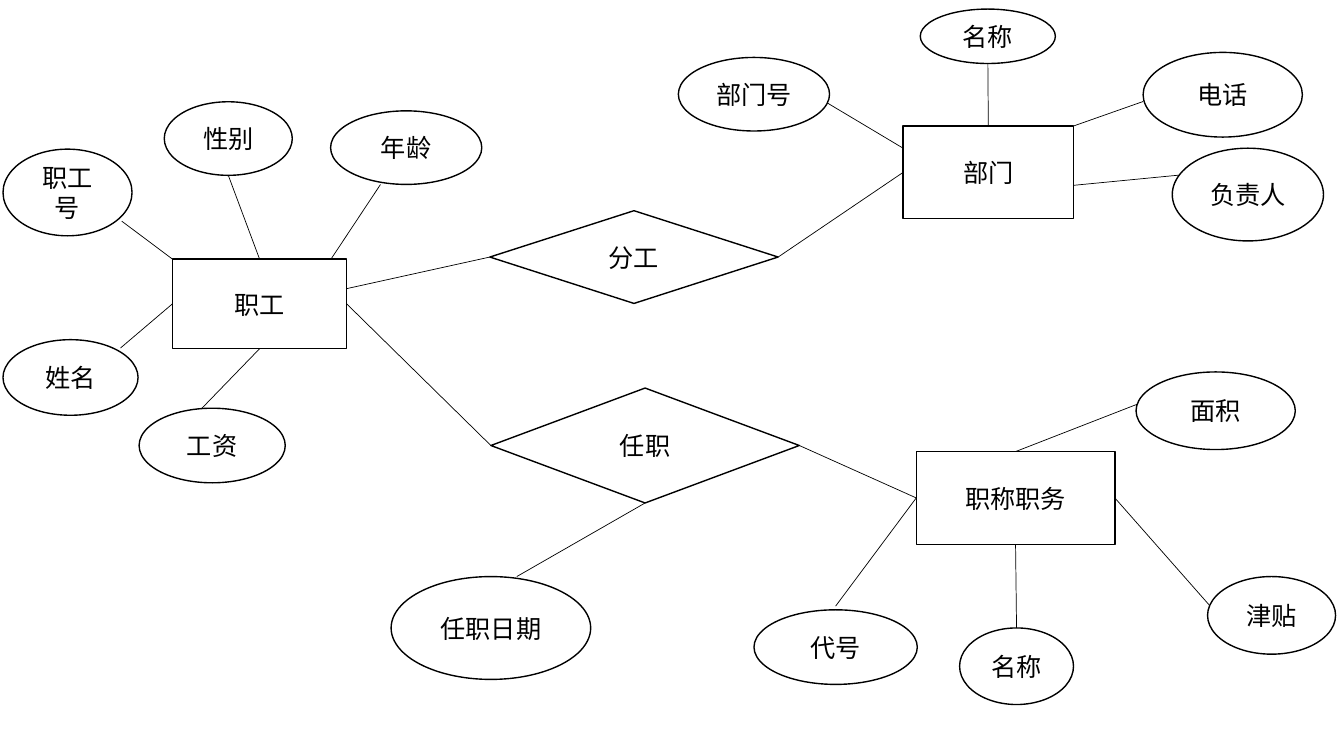
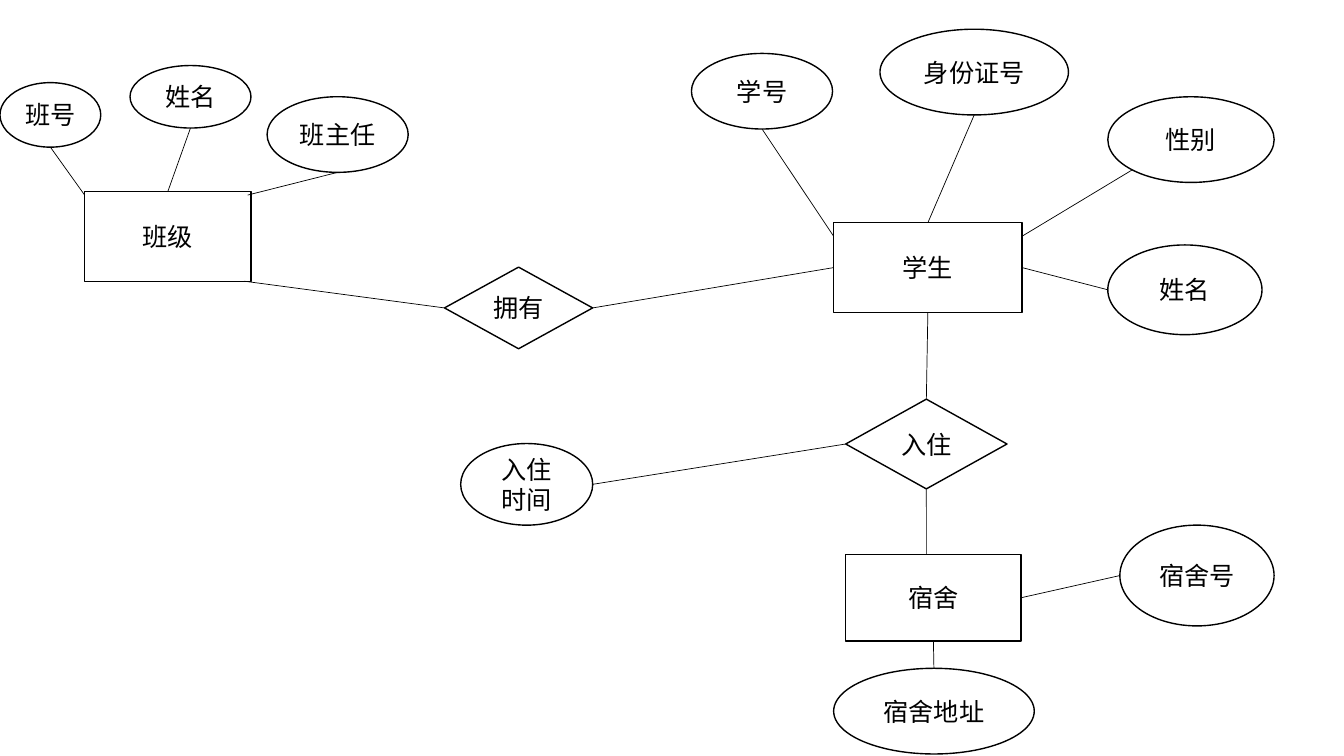
import pptx
import pptx.util
import pptx.dml.color
import pptx.enum.shapes
import pptx.enum.text
import pptx.oxml
import pptx.oxml.ns

BLACK = pptx.dml.color.RGBColor(0, 0, 0)
WHITE = pptx.dml.color.RGBColor(255, 255, 255)
FONT = "Noto Sans CJK SC"
KIND = pptx.enum.shapes.MSO_SHAPE
CELL = pptx.util.Inches(0.1)
COLS, ROWS = 133.33, 75
TOP, LEFT, BASE, RIGHT = (0.5, 0), (0, 0.5), (0.5, 1), (1, 0.5)


class Chart:
    def __init__(self, deck):
        self.slide = deck.slides.add_slide(deck.slide_layouts[6])

    def node(self, kind, text, *box):
        left, top, width, height = (round(n * CELL) for n in box)
        shape = self.slide.shapes.add_shape(kind, left, top, width, height)
        shape.shadow.inherit = False
        shape.fill.solid()
        shape.fill.fore_color.rgb = WHITE
        shape.line.color.rgb = BLACK
        shape.line.width = pptx.util.Pt(1)
        frame = shape.text_frame
        frame.word_wrap = True
        frame.vertical_anchor = pptx.enum.text.MSO_ANCHOR.MIDDLE
        frame.text = text
        para = frame.paragraphs[0]
        para.alignment = pptx.enum.text.PP_ALIGN.CENTER
        para.font.size = pptx.util.Pt(18)
        para.font.name = FONT
        para.font.color.rgb = BLACK
        props = para._p.pPr.find(pptx.oxml.ns.qn("a:defRPr"))
        east = pptx.oxml.ns.qn("a:ea")
        props.append(props.makeelement(east, {"typeface": FONT}))
        return box

    def entity(self, text, *box):
        return self.node(KIND.RECTANGLE, text, *box)

    def bond(self, text, *box):
        return self.node(KIND.FLOWCHART_DECISION, text, *box)

    def link(self, start, out, end, into):
        ends = []
        for (left, top, width, height), (x, y) in ((start, out), (end, into)):
            ends += [round((left + x * width) * CELL),
                     round((top + y * height) * CELL)]
        line = self.slide.shapes.add_connector(
            pptx.enum.shapes.MSO_CONNECTOR.STRAIGHT, *ends)
        line.line.color.rgb = BLACK
        line.line.width = pptx.util.Pt(0.5)
        props = line._element.spPr
        props.append(props.makeelement(pptx.oxml.ns.qn("a:effectLst"), {}))

    def traits(self, owner, rows):
        for text, box, out, into in rows:
            self.link(owner, out, box, into)
            self.node(KIND.OVAL, text, *box)


def draw_staff(deck):
    chart = Chart(deck)
    staff = chart.entity("职工", 17.1, 25.7, 17.3, 8.9)
    post = chart.entity("职称职务", 90.9, 44.8, 19.7, 9.2)
    unit = chart.entity("部门", 89.6, 12.5, 16.9, 9.2)
    task = chart.bond("分工", 48.6, 20.9, 28.6, 9.2)
    term = chart.bond("任职", 48.7, 38.5, 30.6, 11.4)

    chart.link(staff, (1, 0.33), task, LEFT)
    chart.link(task, RIGHT, unit, LEFT)
    chart.link(staff, RIGHT, term, LEFT)
    chart.link(term, RIGHT, post, LEFT)

    chart.traits(staff, [
        ("性别", (16.3, 10.1, 12.7, 7.3), TOP, BASE),
        ("年龄", (32.8, 11, 15, 7.3), (0.91, 0), (0.33, 1)),
        ("职工号", (0.3, 14.8, 12.8, 8.6), (0, 0), (0.92, 0.83)),
        ("姓名", (0.3, 33.7, 13.4, 7.5), LEFT, (0.87, 0.11)),
        ("工资", (13.8, 40.5, 14.5, 7.4), BASE, (0.43, 0)),
    ])
    chart.traits(unit, [
        ("部门号", (67.3, 5.7, 15, 7.3), (0, 0.24), (0.97, 0.6)),
        ("名称", (91.3, 0.9, 13.4, 5.4), TOP, BASE),
        ("电话", (113.4, 5.2, 15.8, 8.4), (1, 0), (0, 0.58)),
        ("负责人", (116.3, 14.7, 15, 9.2), (1, 0.64), (0.05, 0.29)),
    ])
    chart.traits(term, [
        ("任职日期", (38.8, 57.2, 19.8, 10.2), BASE, (0.63, 0)),
    ])
    chart.traits(post, [
        ("面积", (112.7, 36.9, 15.8, 7.7), TOP, (0.04, 0.39)),
        ("代号", (74.8, 60.5, 16.2, 7.4), LEFT, (0.5, -0.05)),
        ("名称", (95.2, 62.3, 11.3, 7.6), BASE, TOP),
        ("津贴", (119.8, 57.2, 12.7, 7.7), RIGHT, (0.02, 0.38)),
    ])


def draw_school(deck):
    chart = Chart(deck)
    group = chart.entity("班级", 8.4, 19, 16.5, 8.9)
    pupil = chart.entity("学生", 82.7, 22.1, 18.7, 8.9)
    dorm = chart.entity("宿舍", 83.9, 55, 17.4, 8.6)
    own = chart.bond("拥有", 44.1, 26.5, 14.7, 8.1)
    stay = chart.bond("入住", 83.9, 39.6, 16, 8.9)

    chart.link(group, (0.96, 1), own, LEFT)
    chart.link(own, RIGHT, pupil, LEFT)
    chart.link(pupil, BASE, stay, TOP)
    chart.link(stay, BASE, dorm, (0.46, 0))

    chart.traits(group, [
        ("班号", (0, 8.2, 10, 6.4), (0, 0.04), BASE),
        ("姓名", (12.9, 6.5, 12, 6.2), TOP, BASE),
        ("班主任", (26.5, 9.6, 14, 7.5), (0.98, 0.04), BASE),
    ])
    chart.traits(pupil, [
        ("学号", (68.6, 5.3, 14, 7.5), (0, 0.15), BASE),
        ("身份证号", (87.3, 2.9, 18.7, 8.5), TOP, BASE),
        ("性别", (109.9, 9.6, 16.5, 8.5), (1, 0.15), (0.15, 0.85)),
        ("姓名", (109.9, 24.3, 15.3, 8.9), RIGHT, LEFT),
    ])
    chart.traits(stay, [
        ("入住时间", (45.7, 44, 13.1, 8.1), LEFT, RIGHT),
    ])
    chart.traits(dorm, [
        ("宿舍号", (111.1, 52.1, 15.3, 10), RIGHT, LEFT),
        ("宿舍地址", (82.7, 66.3, 19.9, 8.5), BASE, TOP),
    ])


def main():
    deck = pptx.Presentation()
    deck.slide_width = round(COLS * CELL)
    deck.slide_height = ROWS * CELL
    draw_staff(deck)
    draw_school(deck)
    deck.save("out.pptx")


if __name__ == "__main__":
    main()
